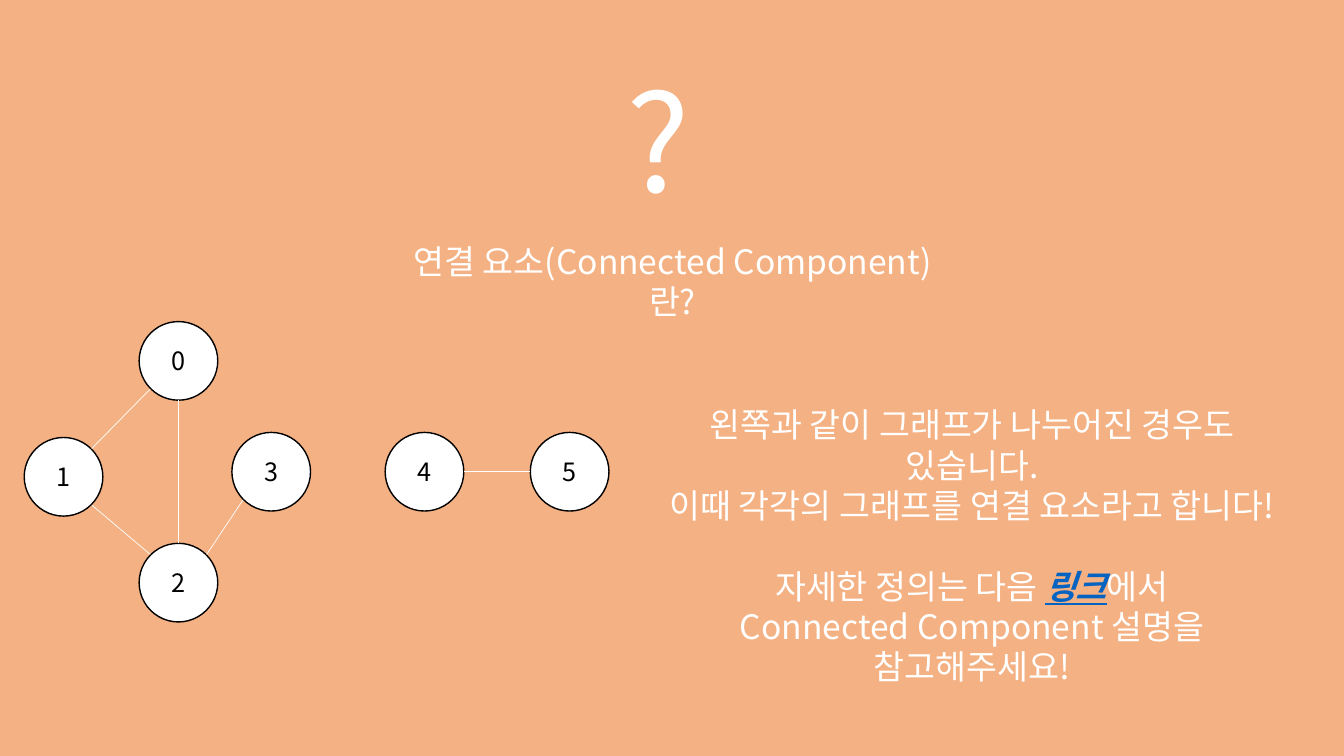
import math

import pptx
import pptx.dml.color
import pptx.enum.shapes
import pptx.enum.text
import pptx.oxml
import pptx.oxml.ns
import pptx.util

PX = 9144  # EMU per px, 100 px to the inch
FONT = "Noto Sans CJK KR"
WHITE, BLACK, PEACH, BLUE = "FFFFFF", "000000", "F4B183", "0563C1"
CENTER = pptx.enum.text.PP_ALIGN.CENTER
MIDDLE = pptx.enum.text.MSO_ANCHOR.MIDDLE
TOP = pptx.enum.text.MSO_ANCHOR.TOP

NODE_SIZE = 78
NODES = [(138, 319), (24, 434), (138, 539), (230, 429), (382, 429), (526, 429)]
# Each edge: from node, to node, and the angle in degrees (clockwise from
# the right) at which it leaves the first circle and meets the second.
EDGES = [
    (1, 0, -45, 135),
    (0, 2, 90, -90),
    (1, 2, 45, -135),
    (2, 3, -45, 135),
    (4, 5, 0, 180),
]


def color(hex_string):
    return pptx.dml.color.RGBColor.from_string(hex_string)


class Page:
    def __init__(self, deck, layout, background):
        self.slide = deck.slides.add_slide(layout)
        fill = self.slide.background.fill
        fill.solid()
        fill.fore_color.rgb = color(background)

    def span(self, para, text, size, ink=WHITE, link_style=False):
        run = para.add_run()
        run.text = text
        font = run.font
        font.name, font.size = FONT, pptx.util.Pt(size)
        font.color.rgb = color(ink)
        if link_style:
            font.bold = font.italic = font.underline = True
        east_asian = pptx.oxml.parse_xml(
            f'<a:ea {pptx.oxml.ns.nsdecls("a")} typeface="{FONT}"/>')
        font._element.find(pptx.oxml.ns.qn("a:latin")).addnext(east_asian)

    def fill_frame(self, frame, paras, size, align=CENTER, anchor=TOP, wrap=True):
        """Write paras, each a pair of space before (pt) and a list of spans."""
        frame.word_wrap = wrap
        frame.auto_size = pptx.enum.text.MSO_AUTO_SIZE.NONE
        frame.vertical_anchor = anchor
        for index, (space, spans) in enumerate(paras):
            para = frame.add_paragraph() if index else frame.paragraphs[0]
            para.alignment = align
            para.line_spacing = 1.0
            para.space_before = pptx.util.Pt(space)
            for text, *style in spans:
                self.span(para, text, size, *style)

    def title(self, text, left, top, width, height, size):
        box = self.slide.shapes.title
        box.left, box.top = left * PX, top * PX
        box.width, box.height = width * PX, height * PX
        self.fill_frame(box.text_frame, [(0, [(text,)])], size)

    def text(self, paras, left, top, width, height, size, **layout):
        box = self.slide.shapes.add_textbox(
            left * PX, top * PX, width * PX, height * PX)
        self.fill_frame(box.text_frame, paras, size, **layout)

    def node(self, label, left, top):
        circle = self.slide.shapes.add_shape(
            pptx.enum.shapes.MSO_SHAPE.OVAL,
            left * PX, top * PX, NODE_SIZE * PX, NODE_SIZE * PX)
        circle.shadow.inherit = False
        circle.fill.solid()
        circle.fill.fore_color.rgb = color(WHITE)
        circle.line.color.rgb = color(BLACK)
        circle.line.width = pptx.util.Pt(1)
        self.fill_frame(circle.text_frame, [(0, [(label, BLACK)])], 18, anchor=MIDDLE)

    def edge(self, start, end):
        line = self.slide.shapes.add_connector(
            pptx.enum.shapes.MSO_CONNECTOR.STRAIGHT,
            *(value * PX for value in start + end))
        line.line.color.rgb = color(WHITE)
        line.line.width = pptx.util.Pt(0.5)
        line._element.spPr.append(pptx.oxml.parse_xml(
            f'<a:effectLst {pptx.oxml.ns.nsdecls("a")}/>'))


def rim_point(node, angle):
    """Point on a node's circle, in whole px."""
    left, top = NODES[node]
    radius = NODE_SIZE / 2
    turn = math.radians(angle)
    return (round(left + radius + radius * math.cos(turn)),
            round(top + radius + radius * math.sin(turn)))


def main():
    deck = pptx.Presentation()
    deck.slide_width, deck.slide_height = 1333 * PX, 750 * PX
    page = Page(deck, deck.slide_layouts.get_by_name("Title Only"), PEACH)

    page.text([(0, [("?",)])], 612, 53, 109, 172, 96,
              align=pptx.enum.text.PP_ALIGN.LEFT, wrap=False)
    page.title("연결 요소(Connected Component)란?", 386, 234, 562, 131, 24)
    page.text([
        (0, [("왼쪽과 같이 그래프가 나누어진 경우도 있습니다.",)]),
        (0, [("이때 각각의 그래프를 연결 요소라고 합니다!",)]),
        (29, [("자세한 정의는 다음 ",), ("링크", BLUE, True), ("에서",)]),
        (0, [("Connected Component 설명을 참고해주세요!",)]),
    ], 632, 396, 664, 293, 24)

    for number, (left, top) in enumerate(NODES):
        page.node(str(number), left, top)
    for first, second, leave, meet in EDGES:
        page.edge(rim_point(first, leave), rim_point(second, meet))

    deck.save("out.pptx")


if __name__ == "__main__":
    main()
